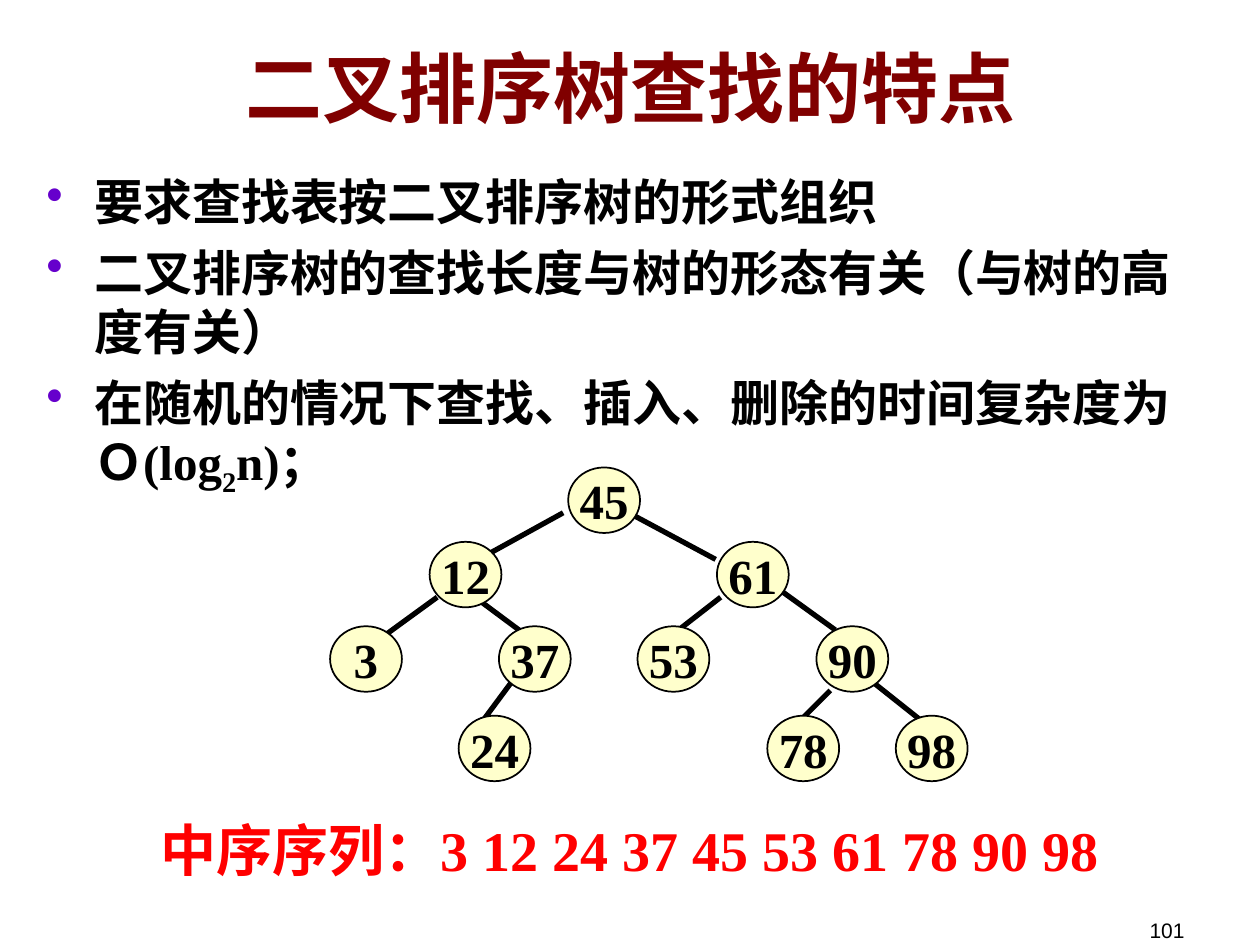
"""Build a slide on the traits of search in a binary sort tree."""
from lxml.etree import SubElement
from pptx import Presentation
from pptx.dml.color import RGBColor as RGB
from pptx.enum.shapes import MSO_CONNECTOR as LINK, MSO_SHAPE as KIND
from pptx.enum.text import MSO_ANCHOR as ANCHOR, PP_ALIGN as ALIGN
from pptx.oxml.ns import qn
from pptx.util import Inches, Pt

HUES = {"ink": "000000", "title": "800000", "bullet": "6600CC",
        "node": "FFFFCC", "order": "FF0000"}
SERIF, SANS = "Times New Roman", "Arial"

TITLE = "二叉排序树查找的特点"
POINTS = [
    ["要求查找表按二叉排序树的形式组织"],
    ["二叉排序树的查找长度与树的形态有关（与树的高度有关）"],
    ["在随机的情况下查找、插入、删除的时间复杂度为Ｏ(log", "2", "n)；"],
]
ORDER = "中序序列：3 12 24 37 45 53 61 78 90 98"
PAGE = "101"

LEVELS = [
    (3.71, {"45": 4.51}),
    (4.3, {"12": 3.41, "61": 5.69}),
    (4.97, {"3": 2.62, "37": 3.96, "53": 5.06, "90": 6.48}),
    (5.68, {"24": 3.64, "78": 6.09, "98": 7.11}),
]
EDGES = [
    (4.47, 4.07, 3.78, 4.45), (4.99, 4.07, 5.68, 4.44),
    (3.47, 4.74, 3.03, 5.06), (3.77, 4.74, 4.2, 5.06),
    (5.72, 4.74, 5.36, 5.02), (6.2, 4.69, 6.63, 5),
    (4.07, 5.4, 3.84, 5.71),
    (6.59, 5.48, 6.36, 5.71), (6.91, 5.4, 7.3, 5.71),
]
NODE = (0.57, 0.52)


def tint(hue):
    return RGB.from_string(HUES[hue])


def style(para, size, hue="ink", face=SERIF, bold=True, align=ALIGN.LEFT):
    para.alignment = align
    font = para.font
    font.size, font.name, font.bold = Pt(size), face, bold
    font.color.rgb = tint(hue)


def frame(slide, box, anchor=ANCHOR.TOP):
    text = slide.shapes.add_textbox(*map(Inches, box)).text_frame
    text.word_wrap, text.vertical_anchor = True, anchor
    return text


def label(slide, box, words, size, anchor=ANCHOR.TOP, **look):
    para = frame(slide, box, anchor).paragraphs[0]
    para.text = words
    style(para, size, **look)


def bullet(para):
    props = para._p.get_or_add_pPr()
    props.set("marL", str(Inches(0.38)))
    props.set("indent", str(-Inches(0.38)))
    color = SubElement(props, qn("a:buClr"))
    SubElement(color, qn("a:srgbClr"), val=HUES["bullet"])
    SubElement(props, qn("a:buChar"), char="•")


def points(slide, box):
    text = frame(slide, box)
    for i, parts in enumerate(POINTS):
        para = text.add_paragraph() if i else text.paragraphs[0]
        if i:
            para.space_before = Pt(7)
        bullet(para)
        style(para, 28)
        for j, part in enumerate(parts):
            run = para.add_run()
            run.text = part
            if j == 1:
                run._r.get_or_add_rPr().set("baseline", "-25000")


def edge(slide, ends):
    line = slide.shapes.add_connector(LINK.STRAIGHT, *map(Inches, ends))
    line.line.color.rgb, line.line.width = tint("ink"), Pt(3)
    SubElement(line._element.spPr, qn("a:effectLst"))


def node(slide, key, left, top):
    oval = slide.shapes.add_shape(KIND.OVAL, *map(Inches, (left, top, *NODE)))
    oval.shadow.inherit = False
    oval.fill.solid()
    oval.fill.fore_color.rgb = tint("node")
    oval.line.color.rgb, oval.line.width = tint("ink"), Pt(1)
    text = oval.text_frame
    text.margin_left = text.margin_right = 0
    text.margin_top = text.margin_bottom = 0
    text.word_wrap, text.vertical_anchor = False, ANCHOR.MIDDLE
    para = text.paragraphs[0]
    para.text = key
    style(para, 28, align=ALIGN.CENTER)


def main():
    deck = Presentation()
    deck.slide_width, deck.slide_height = Inches(10), Inches(7.5)
    slide = deck.slides.add_slide(deck.slide_layouts[6])
    label(slide, (7.17, 7.03, 2.33, 0.5), PAGE, 12, ANCHOR.BOTTOM,
          face=SANS, bold=False, align=ALIGN.RIGHT)
    label(slide, (0.51, 0.13, 9, 1.12), TITLE, 44, ANCHOR.MIDDLE,
          hue="title", align=ALIGN.CENTER)
    points(slide, (0.27, 1.31, 9.45, 5.67))
    for ends in EDGES:
        edge(slide, ends)
    for top, row in LEVELS:
        for key, left in row.items():
            node(slide, key, left, top)
    label(slide, (0, 6.42, 10, 0.64), ORDER, 32,
          hue="order", align=ALIGN.CENTER)
    deck.save("out.pptx")


if __name__ == "__main__":
    main()
